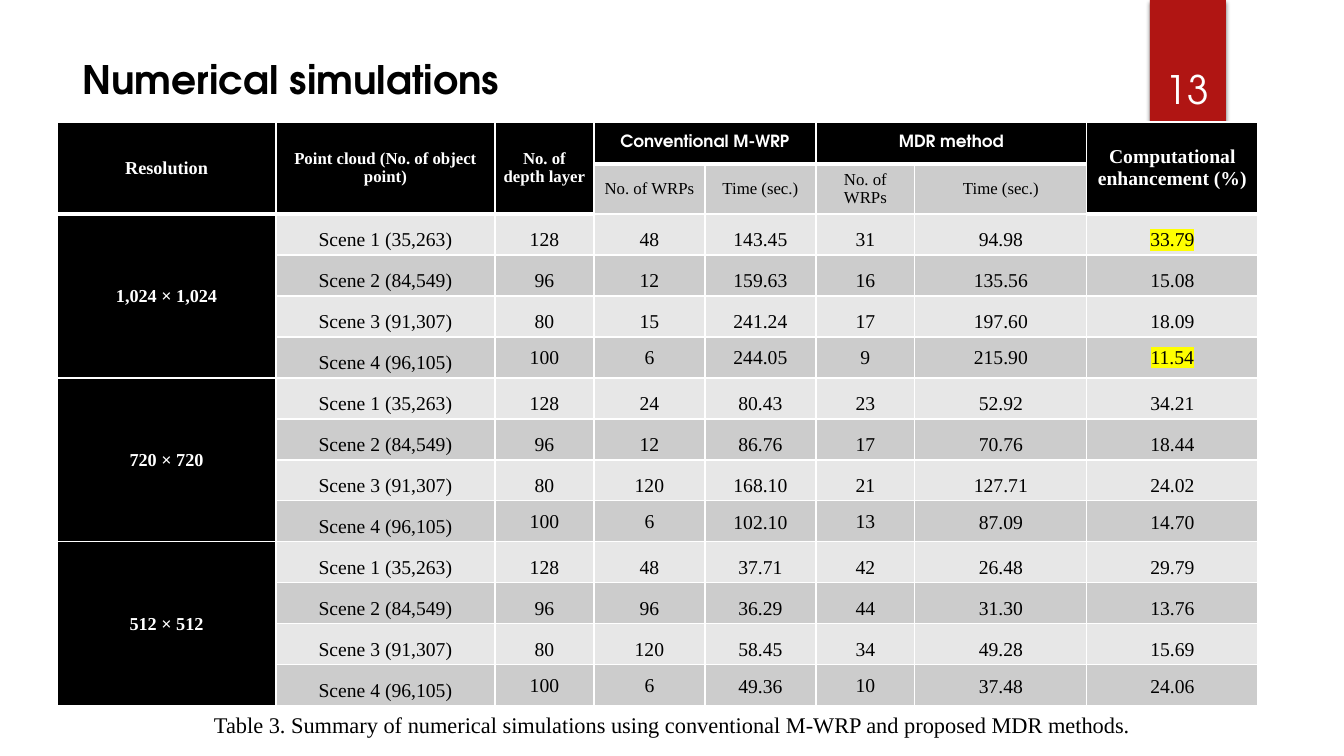
from dataclasses import dataclass

from lxml.etree import SubElement
from pptx import Presentation
from pptx.dml.color import RGBColor
from pptx.enum.shapes import MSO_SHAPE
from pptx.enum.text import MSO_ANCHOR, MSO_AUTO_SIZE, PP_ALIGN
from pptx.oxml.ns import qn
from pptx.util import Emu, Pt

COLORS = {
    "black": "000000",
    "white": "FFFFFF",
    "red": "B01513",
    "light": "E7E7E7",
    "dark": "CCCCCC",
    "yellow": "FFFF00",
}
HEADING_FONT = "TeX Gyre Adventor"
BODY_FONT = "Times New Roman"
COLUMN_WIDTHS = [219, 219, 99, 111, 111, 99, 172, 171]
HEADER_HEIGHTS = [42, 50]
DATA_HEIGHT = 41
SCENES = [
    ("Scene 1 (35,263)", "128"),
    ("Scene 2 (84,549)", "96"),
    ("Scene 3 (91,307)", "80"),
    ("Scene 4 (96,105)", "100"),
]


@dataclass
class Style:
    size: int
    color: str = "black"
    bold: bool = False
    font: str = BODY_FONT
    spacing: float = 1.0
    align: PP_ALIGN = PP_ALIGN.CENTER


@dataclass
class Heading:
    text: str
    column: int
    rows: int
    columns: int
    size: int = 12
    font: str = BODY_FONT


@dataclass
class Block:
    resolution: str
    results: list[str]
    last_spacing: float
    highlighted: tuple[str, ...] = ()


HEADINGS = [
    Heading("Resolution", 0, 2, 1, 13),
    Heading("Point cloud (No. of object point)", 1, 2, 1),
    Heading("No. of depth layer", 2, 2, 1),
    Heading("Conventional M-WRP", 3, 1, 2, font=HEADING_FONT),
    Heading("MDR method", 5, 1, 2, font=HEADING_FONT),
    Heading("Computational enhancement (%)", 7, 2, 1, 14),
]
SUBHEADINGS = ["No. of WRPs", "Time (sec.)"] * 2
BLOCKS = [
    Block("1,024 × 1,024", [
        "48 143.45 31 94.98 33.79",
        "12 159.63 16 135.56 15.08",
        "15 241.24 17 197.60 18.09",
        "6 244.05 9 215.90 11.54",
    ], 1.0, ("33.79", "11.54")),
    Block("720 × 720", [
        "24 80.43 23 52.92 34.21",
        "12 86.76 17 70.76 18.44",
        "120 168.10 21 127.71 24.02",
        "6 102.10 13 87.09 14.70",
    ], 1.15),
    Block("512 × 512", [
        "48 37.71 42 26.48 29.79",
        "96 36.29 44 31.30 13.76",
        "120 58.45 34 49.28 15.69",
        "6 49.36 10 37.48 24.06",
    ], 1.15),
]


def px(length: int) -> Emu:
    return Emu(round(length * 914400 / 100.8))


def rgb(name: str) -> RGBColor:
    return RGBColor.from_string(COLORS[name])


def write(frame, text: str, style: Style) -> None:
    frame.text = text
    para = frame.paragraphs[0]
    para.alignment = style.align
    para.line_spacing = style.spacing
    font = para.runs[0].font
    font.name = style.font
    font.size = Pt(style.size)
    font.bold = style.bold
    font.color.rgb = rgb(style.color)


def add_color(parent, name: str):
    return SubElement(parent, qn("a:srgbClr"), val=COLORS[name])


def highlight(cell) -> None:
    properties = cell.text_frame.paragraphs[0].runs[0].font._element
    marker = SubElement(properties, qn("a:highlight"))
    add_color(marker, "yellow")
    properties.find(qn("a:solidFill")).addnext(marker)


def format_cell(cell, fill: str, bottom: int = 1) -> None:
    cell.margin_left = cell.margin_right = px(7)
    cell.margin_top = cell.margin_bottom = 0
    cell.vertical_anchor = MSO_ANCHOR.MIDDLE
    properties = cell._tc.get_or_add_tcPr()
    for side, width in (("L", 1), ("R", 1), ("T", 1), ("B", bottom)):
        line = SubElement(properties, qn(f"a:ln{side}"), w=str(Pt(width)))
        add_color(SubElement(line, qn("a:solidFill")), "white")
    cell.fill.solid()
    cell.fill.fore_color.rgb = rgb(fill)


def add_text(page, text: str, left: int, top: int, width: int, height: int,
             style: Style, anchor: MSO_ANCHOR) -> None:
    frame = page.shapes.add_textbox(px(left), px(top), px(width), px(height)).text_frame
    frame.word_wrap = True
    frame.vertical_anchor = anchor
    write(frame, text, style)


def add_title(page) -> None:
    title = page.shapes.title
    title.left, title.top, title.width, title.height = px(72), px(50), px(1037), px(45)
    title.text_frame.auto_size = MSO_AUTO_SIZE.NONE
    title.text_frame.vertical_anchor = MSO_ANCHOR.TOP
    write(title.text_frame, "Numerical simulations",
          Style(28, bold=True, font=HEADING_FONT, align=PP_ALIGN.LEFT))


def add_page_number(page) -> None:
    ribbon = page.shapes.add_shape(MSO_SHAPE.RECTANGLE, px(1150), 0, px(76), px(126))
    ribbon.fill.solid()
    ribbon.fill.fore_color.rgb = rgb("red")
    ribbon.line.fill.background()
    ribbon.shadow.inherit = False
    effects = ribbon._element.spPr.find(qn("a:effectLst"))
    shadow = SubElement(effects, qn("a:outerShdw"), blurRad=str(Pt(3)),
                        dist=str(Pt(2)), dir="5400000", rotWithShape="0")
    SubElement(add_color(shadow, "black"), qn("a:alpha"), val="45000")
    add_text(page, "13", 1141, 32, 93, 85,
             Style(28, "white", font=HEADING_FONT), MSO_ANCHOR.BOTTOM)


def fill_headings(table) -> None:
    for heading in HEADINGS:
        last_row, last_column = heading.rows - 1, heading.column + heading.columns - 1
        for row in range(heading.rows):
            for column in range(heading.column, last_column + 1):
                format_cell(table.cell(row, column), "black", 3)
        cell = table.cell(0, heading.column)
        cell.merge(table.cell(last_row, last_column))
        write(cell.text_frame, heading.text, Style(heading.size, "white", True, heading.font))
    for column, text in enumerate(SUBHEADINGS, 3):
        cell = table.cell(1, column)
        format_cell(cell, "dark")
        write(cell.text_frame, text, Style(12))


def spacing_for(block: Block, scene: int, column: int) -> float:
    if scene < len(SCENES) - 1 or column == 1:
        return 1.5
    return block.last_spacing if column in (4, 6, 7) else 1.0


def fill_block(table, block: Block, first_row: int) -> None:
    for scene, (labels, results) in enumerate(zip(SCENES, block.results)):
        row = first_row + scene
        format_cell(table.cell(row, 0), "black")
        for column, text in enumerate([*labels, *results.split()], 1):
            cell = table.cell(row, column)
            format_cell(cell, "dark" if scene % 2 else "light")
            write(cell.text_frame, text, Style(14, spacing=spacing_for(block, scene, column)))
            if text in block.highlighted:
                highlight(cell)
    cell = table.cell(first_row, 0)
    cell.merge(table.cell(first_row + len(SCENES) - 1, 0))
    write(cell.text_frame, block.resolution, Style(13, "white", True))


def add_results(page) -> None:
    heights = HEADER_HEIGHTS + [DATA_HEIGHT] * len(BLOCKS) * len(SCENES)
    table = page.shapes.add_table(len(heights), len(COLUMN_WIDTHS), px(57), px(122),
                                  px(sum(COLUMN_WIDTHS)), px(sum(heights))).table
    table.first_row = table.horz_banding = False
    for column, width in zip(table.columns, COLUMN_WIDTHS):
        column.width = px(width)
    for row, height in zip(table.rows, heights):
        row.height = px(height)
    fill_headings(table)
    for index, block in enumerate(BLOCKS):
        fill_block(table, block, len(HEADER_HEIGHTS) + index * len(SCENES))


def main() -> None:
    deck = Presentation()
    deck.slide_width, deck.slide_height = px(1344), px(756)
    page = deck.slides.add_slide(deck.slide_layouts[5])
    add_title(page)
    add_page_number(page)
    add_results(page)
    add_text(page, "Table 3. Summary of numerical simulations using conventional "
             "M-WRP and proposed MDR methods.", 79, 706, 1186, 37, Style(16), MSO_ANCHOR.TOP)
    deck.save("out.pptx")


if __name__ == "__main__":
    main()
